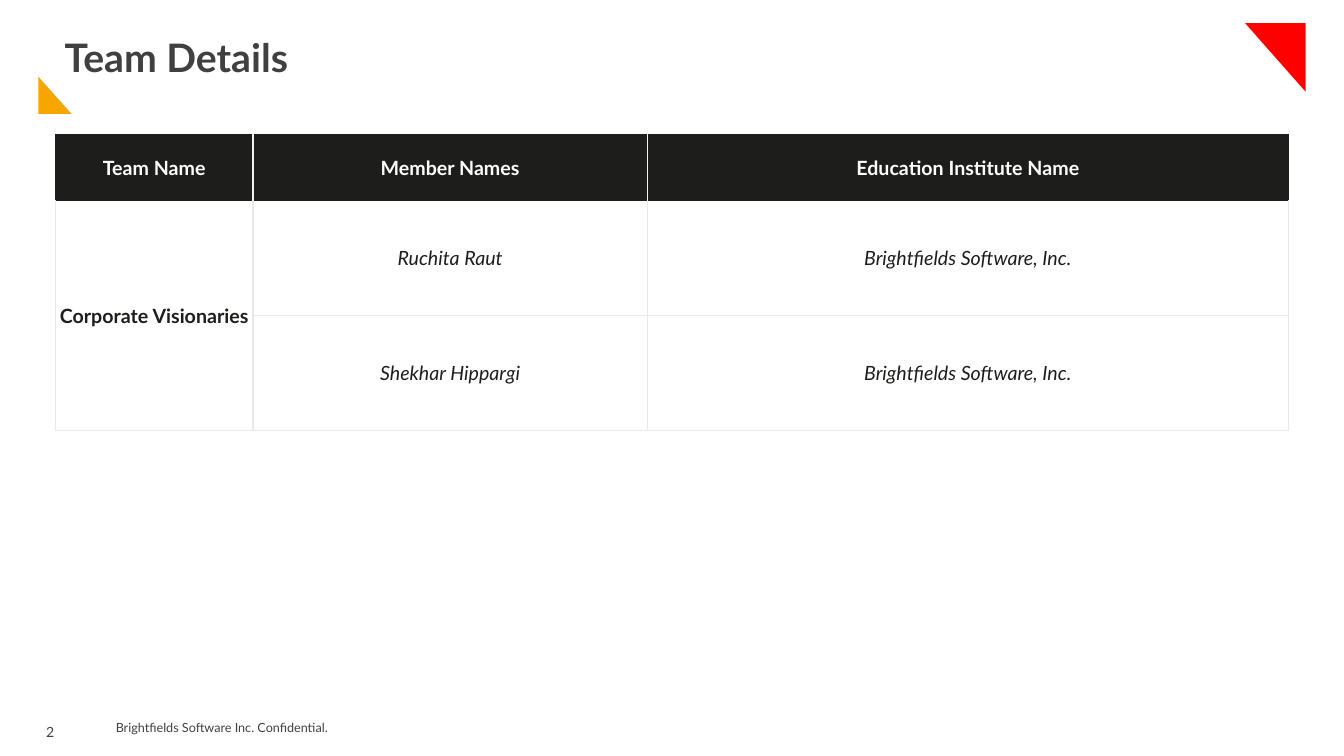
import pptx
import pptx.dml.color
import pptx.enum.text
import pptx.oxml.ns
import pptx.util
import lxml.etree

COLORS = {"ink": "1D1D1B", "text": "404040", "white": "FFFFFF", "rule": "E9E9E7",
          "divider": "F2F2F2", "red": "FF0000", "amber": "F7A600"}
ANCHOR = pptx.enum.text.MSO_ANCHOR
ALIGN = pptx.enum.text.PP_ALIGN
AUTO = pptx.enum.text.MSO_AUTO_SIZE
PX = 9144


def rgb(name):
    return pptx.dml.color.RGBColor.from_string(COLORS[name])


def set_format(obj, values):
    for name, value in values.items():
        setattr(obj, name, value)


def margins(x, y):
    return {"margin_left": x * PX, "margin_right": x * PX,
            "margin_top": y * PX, "margin_bottom": y * PX}


class Deck:
    font = "Lato"

    def __init__(self, width, height):
        self.prs = pptx.Presentation()
        set_format(self.prs, {"slide_width": width * PX, "slide_height": height * PX})
        self.s = self.prs.slides.add_slide(self.prs.slide_layouts[5])

    def add_run(self, tf, text, size, color, para=None, **font):
        p = tf.paragraphs[0]
        set_format(p, para or {})
        r = p.add_run()
        r.text = text
        set_format(r.font, {"name": self.font, "size": pptx.util.Pt(size), **font})
        r.font.color.rgb = rgb(color)

    def title(self, box, text):
        sp = self.s.shapes.title
        set_format(sp, dict(zip(("left", "top", "width", "height"), [v * PX for v in box])))
        set_format(sp.text_frame, {"vertical_anchor": ANCHOR.MIDDLE, "word_wrap": True,
                                   "auto_size": AUTO.SHAPE_TO_FIT_TEXT, **margins(0, 0)})
        self.add_run(sp.text_frame, text, 28, "text",
                     {"alignment": ALIGN.LEFT, "line_spacing": 0.9}, bold=True)

    def text(self, box, text, size, frame, para=None):
        sp = self.s.shapes.add_textbox(*[v * PX for v in box])
        set_format(sp.text_frame, frame)
        self.add_run(sp.text_frame, text, size, "text", para)

    def triangle(self, points, color):
        start, *rest = points
        builder = self.s.shapes.build_freeform(*start, scale=PX)
        builder.add_line_segments(rest, close=True)
        sp = builder.convert_to_shape()
        sp.shadow.inherit = False
        sp.fill.solid()
        sp.fill.fore_color.rgb = rgb(color)
        sp.line.fill.background()

    def borders(self, cell, colors):
        tcPr = cell._tc.get_or_add_tcPr()
        qn = pptx.oxml.ns.qn
        for side, color in zip("LRTB", colors):
            ln = lxml.etree.SubElement(tcPr, qn(f"a:ln{side}"), w="12700")
            fill = lxml.etree.SubElement(ln, qn("a:solidFill"))
            lxml.etree.SubElement(fill, qn("a:srgbClr"), val=COLORS[color])

    def table(self, left, top, widths, heights, rows):
        table = self.s.shapes.add_table(
            len(rows), len(widths), left * PX, top * PX,
            sum(widths) * PX, sum(heights) * PX).table
        table.horz_banding = False
        for col, width in zip(table.columns, widths):
            col.width = width * PX
        for row, height in zip(table.rows, heights):
            row.height = height * PX
        last = len(widths) - 1
        for i, row in enumerate(rows):
            for j, text in enumerate(row):
                cell = table.cell(i, j)
                set_format(cell, {"vertical_anchor": ANCHOR.MIDDLE, **margins(0, 0)})
                if i == 0:
                    self.borders(cell, ("ink" if j == 0 else "divider",
                                        "ink" if j == last else "divider", "ink", "ink"))
                    cell.fill.solid()
                    cell.fill.fore_color.rgb = rgb("ink")
                else:
                    self.borders(cell, ("rule", "rule", "ink" if i == 1 else "rule", "rule"))
                    cell.fill.background()
                if text:
                    self.add_run(cell.text_frame, text, 14, "ink" if i else "white",
                                 {"alignment": ALIGN.CENTER},
                                 bold=i == 0 or j == 0, italic=i > 0 and j > 0)
        table.cell(1, 0).merge(table.cell(len(rows) - 1, 0))


def main():
    deck = Deck(1333, 750)
    deck.text((105, 705, 273, 34), "Brightfields Software Inc. Confidential.", 9,
              {"vertical_anchor": ANCHOR.MIDDLE, "word_wrap": True, **margins(10, 10)})
    deck.text((36, 706, 37, 31), "2", 10,
              {"word_wrap": False, "auto_size": AUTO.SHAPE_TO_FIT_TEXT},
              {"line_spacing": pptx.util.Pt(17), "space_after": pptx.util.Pt(2)})
    deck.triangle([(1235, 23), (1295, 23), (1295, 91)], "red")
    deck.triangle([(71, 113), (38, 113), (38, 76)], "amber")
    deck.title((64, 38, 1201, 42), "Team Details")
    institute = "Brightfields Software, Inc."
    deck.table(55, 134, (196, 391, 636), (65, 114, 114), [
        ("Team Name", "Member Names", "Education Institute Name"),
        ("Corporate Visionaries", "Ruchita Raut", institute),
        ("", "Shekhar Hippargi", institute)])
    deck.prs.save("out.pptx")


if __name__ == "__main__":
    main()
